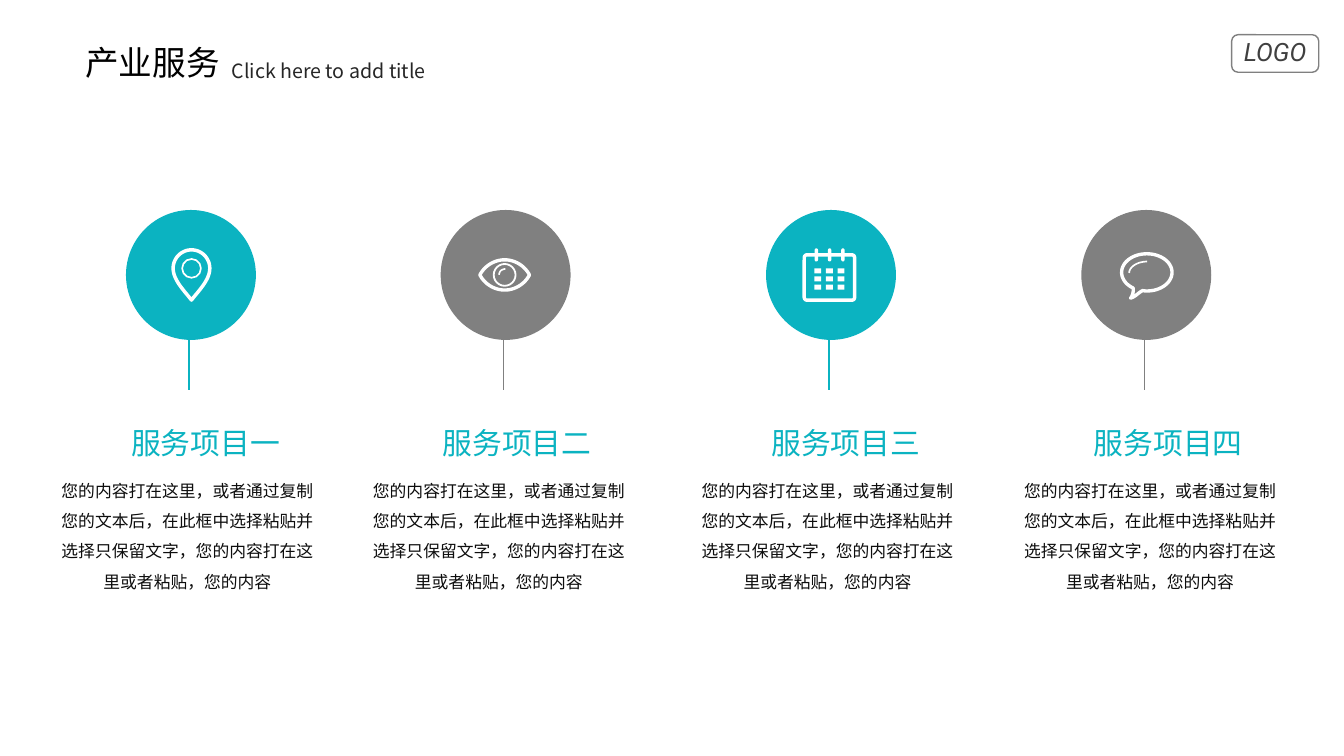
"""Build the industry services slide with four icon columns."""
from lxml.etree import SubElement
from pptx import Presentation
from pptx.dml.color import RGBColor
from pptx.enum.shapes import MSO_CONNECTOR, MSO_SHAPE
from pptx.enum.text import MSO_ANCHOR, MSO_AUTO_SIZE, PP_ALIGN
from pptx.oxml.ns import qn
from pptx.util import Pt

TEAL = RGBColor(0x0B, 0xB3, 0xC1)
GRAY = RGBColor(0x80, 0x80, 0x80)
WHITE = RGBColor(0xFF, 0xFF, 0xFF)
BLACK = RGBColor(0, 0, 0)
INK = RGBColor(0x0D, 0x0D, 0x0D)
DARK = RGBColor(0x26, 0x26, 0x26)
LOGO_GRAY = RGBColor(0x40, 0x40, 0x40)
CHINESE_FONT = "Noto Sans CJK SC"
LOGO_FONT = "Roboto"

TITLE = "产业服务"
SUBTITLE = "Click here to add title"
DESCRIPTION = (
    "您的内容打在这里，或者通过复制您的文本后，在此框中选择粘贴并"
    "选择只保留文字，您的内容打在这里或者粘贴，您的内容"
)
SERVICES = [
    ("服务项目一", "pin", TEAL, 90, 32.4),
    ("服务项目二", "eye", GRAY, 314.8, 254.9),
    ("服务项目三", "calendar", TEAL, 547.2, 489.6),
    ("服务项目四", "chat", GRAY, 772.4, 720),
]

CIRCLE_TOP, CIRCLE_SIZE = 150, 92.8
STEM_TOP, STEM_BOTTOM, STEM_OFFSET = 203.8, 278.6, 45
HEADING_TOP, HEADING_WIDTH, HEADING_HEIGHT = 300.2, 144, 33
DESCRIPTION_TOP, DESCRIPTION_WIDTH, DESCRIPTION_HEIGHT = 332.6, 203, 94.3
CURVE_STEPS = 16

OUTLINES = {
    "pin": [(2.5, True, (0.4, 18), [
        ((-3.9, 12.2), (-12.7, 4), (-12.7, -4.7)),
        ((-12.7, -12), (-6.8, -17.9), (0.4, -17.9)),
        ((7.6, -17.9), (13.5, -12), (13.5, -4.7)),
        ((13.5, 4), (4.7, 12.2), (0.4, 18)),
    ])],
    "eye": [
        (2.4, True, (-18.4, 0), [
            ((-15, -6.6), (-8, -10.8), (-0.7, -10.8)),
            ((6.6, -10.8), (13.6, -6.6), (17, 0)),
            ((13.6, 6.6), (6.6, 10.8), (-0.7, 10.8)),
            ((-8, 10.8), (-15, 6.6), (-18.4, 0)),
        ]),
        (1.2, False, (-4.7, 0), [((-4.7, -2.4), (-2.9, -4.2), (-0.2, -4.2))]),
    ],
    "chat": [
        (2.4, True, (-2.5, 11.2), [
            ((-4.7, 11.9), (-7.6, 15.5), (-11.2, 16.6)),
            ((-9.5, 14.5), (-9, 11), (-9.4, 9.4)),
            ((-14.5, 6.9), (-17.6, 2.8), (-17.6, -1.8)),
            ((-17.6, -9.2), (-9.5, -15.1), (0.4, -15.1)),
            ((10.3, -15.1), (18.4, -9.2), (18.4, -1.8)),
            ((18.4, 5.6), (10.3, 11.5), (0.4, 11.5)),
            ((-0.6, 11.5), (-1.6, 11.4), (-2.5, 11.2)),
        ]),
        (1.2, False, (-12.2, -1.4), [((-12.2, -5.6), (-6.6, -9.5), (0.6, -9.6))]),
    ],
}
RINGS = {"pin": ((0.4, -4.7), 13.4, 1.2), "eye": ((-0.7, 0), 15.6, 1.3)}


def paint(shape, fill=None, line=None, weight=1):
    shape.shadow.inherit = False
    if fill is None:
        shape.fill.background()
    else:
        shape.fill.solid()
        shape.fill.fore_color.rgb = fill
    if line is None:
        shape.line.fill.background()
    else:
        shape.line.color.rgb = line
        shape.line.width = Pt(weight)


def place(shapes, kind, left, top, width, height, **style):
    shape = shapes.add_shape(kind, Pt(left), Pt(top), Pt(width), Pt(height))
    paint(shape, **style)
    return shape


def write(box, text, size, color, font=CHINESE_FONT, align=PP_ALIGN.CENTER,
          spacing=1.0, italic=False):
    frame = box.text_frame
    frame.word_wrap = True
    frame.auto_size = MSO_AUTO_SIZE.NONE
    frame.vertical_anchor = MSO_ANCHOR.TOP
    para = frame.paragraphs[0]
    para.alignment = align
    para.line_spacing = spacing
    span = para.add_run()
    span.text = text
    span.font.size = Pt(size)
    span.font.name = font
    span.font.italic = italic
    span.font.color.rgb = color
    SubElement(span.font._element, qn("a:ea"), typeface=font)


def add_text(shapes, left, top, width, height, *args, **style):
    box = shapes.add_textbox(Pt(left), Pt(top), Pt(width), Pt(height))
    write(box, *args, **style)


def flatten(start, segments):
    points = [start]
    for first, second, end in segments:
        origin = points[-1]
        for step in range(1, CURVE_STEPS + 1):
            t = step / CURVE_STEPS
            weights = ((1 - t) ** 3, 3 * t * (1 - t) ** 2, 3 * t * t * (1 - t), t ** 3)
            corners = (origin, first, second, end)
            points.append(tuple(
                sum(weight * corner[axis] for weight, corner in zip(weights, corners))
                for axis in (0, 1)))
    return points


def draw_calendar(shapes, x, y):
    page = place(shapes, MSO_SHAPE.ROUNDED_RECTANGLE, x - 19.1, y - 14.4, 36, 32.4,
                 line=WHITE, weight=2.5)
    page.adjustments[0] = 0.06
    for column in range(3):
        peg = place(shapes, MSO_SHAPE.ROUNDED_RECTANGLE, x - 11.7 + 9.5 * column, y - 19,
                    2.4, 9.4, fill=WHITE)
        peg.adjustments[0] = 0.5
        for row in range(3):
            place(shapes, MSO_SHAPE.RECTANGLE, x - 11.9 + 8.3 * column,
                  y - 4.7 + 5.8 * row, 4.9, 3.6, fill=WHITE)


def draw_icon(shapes, name, x, y):
    if name == "calendar":
        draw_calendar(shapes, x, y)
    for weight, closed, start, segments in OUTLINES.get(name, []):
        points = [(Pt(x + dx), Pt(y + dy)) for dx, dy in flatten(start, segments)]
        builder = shapes.build_freeform(*points[0])
        builder.add_line_segments(points[1:], close=closed)
        paint(builder.convert_to_shape(), line=WHITE, weight=weight)
    if name in RINGS:
        (dx, dy), size, weight = RINGS[name]
        place(shapes, MSO_SHAPE.OVAL, x + dx - size / 2, y + dy - size / 2, size, size,
              line=WHITE, weight=weight)


def add_service(shapes, heading, icon, color, circle_left, text_left):
    stem_x = Pt(circle_left + STEM_OFFSET)
    stem = shapes.add_connector(MSO_CONNECTOR.STRAIGHT, stem_x, Pt(STEM_TOP),
                                stem_x, Pt(STEM_BOTTOM))
    stem.line.color.rgb = color
    stem.line.width = Pt(1)
    SubElement(stem._element.spPr, qn("a:effectLst"))
    badge = shapes.add_group_shape().shapes
    place(badge, MSO_SHAPE.OVAL, circle_left, CIRCLE_TOP, CIRCLE_SIZE, CIRCLE_SIZE, fill=color)
    draw_icon(badge, icon, circle_left + CIRCLE_SIZE / 2, CIRCLE_TOP + CIRCLE_SIZE / 2)
    heading_left = text_left + 42.5
    add_text(shapes, heading_left, HEADING_TOP, HEADING_WIDTH, HEADING_HEIGHT,
             heading, 21.3, TEAL)
    add_text(shapes, text_left, DESCRIPTION_TOP, DESCRIPTION_WIDTH, DESCRIPTION_HEIGHT,
             DESCRIPTION, 12, INK, spacing=1.5)


def main():
    deck = Presentation()
    deck.slide_width, deck.slide_height = Pt(960), Pt(540)
    slide = deck.slides.add_slide(deck.slide_layouts[5])
    shapes = slide.shapes
    frame = place(shapes, MSO_SHAPE.ROUNDED_RECTANGLE, 879.8, 24.8, 62.2, 26.8, line=GRAY)
    frame.adjustments[0] = 0.17
    add_text(shapes, 873.4, 22.3, 74.9, 28.8, "LOGO", 18, LOGO_GRAY,
             font=LOGO_FONT, italic=True)
    for service in SERVICES:
        add_service(shapes, *service)
    title = shapes.title
    title.left, title.top, title.width, title.height = Pt(15.1), Pt(26.6), Pt(149), Pt(36)
    write(title, TITLE, 24, BLACK, align=PP_ALIGN.RIGHT)
    add_text(shapes, 158.4, 35.3, 182.9, 27.4, SUBTITLE, 14, DARK,
             align=PP_ALIGN.LEFT, spacing=1.2)
    deck.save("out.pptx")


if __name__ == "__main__":
    main()
